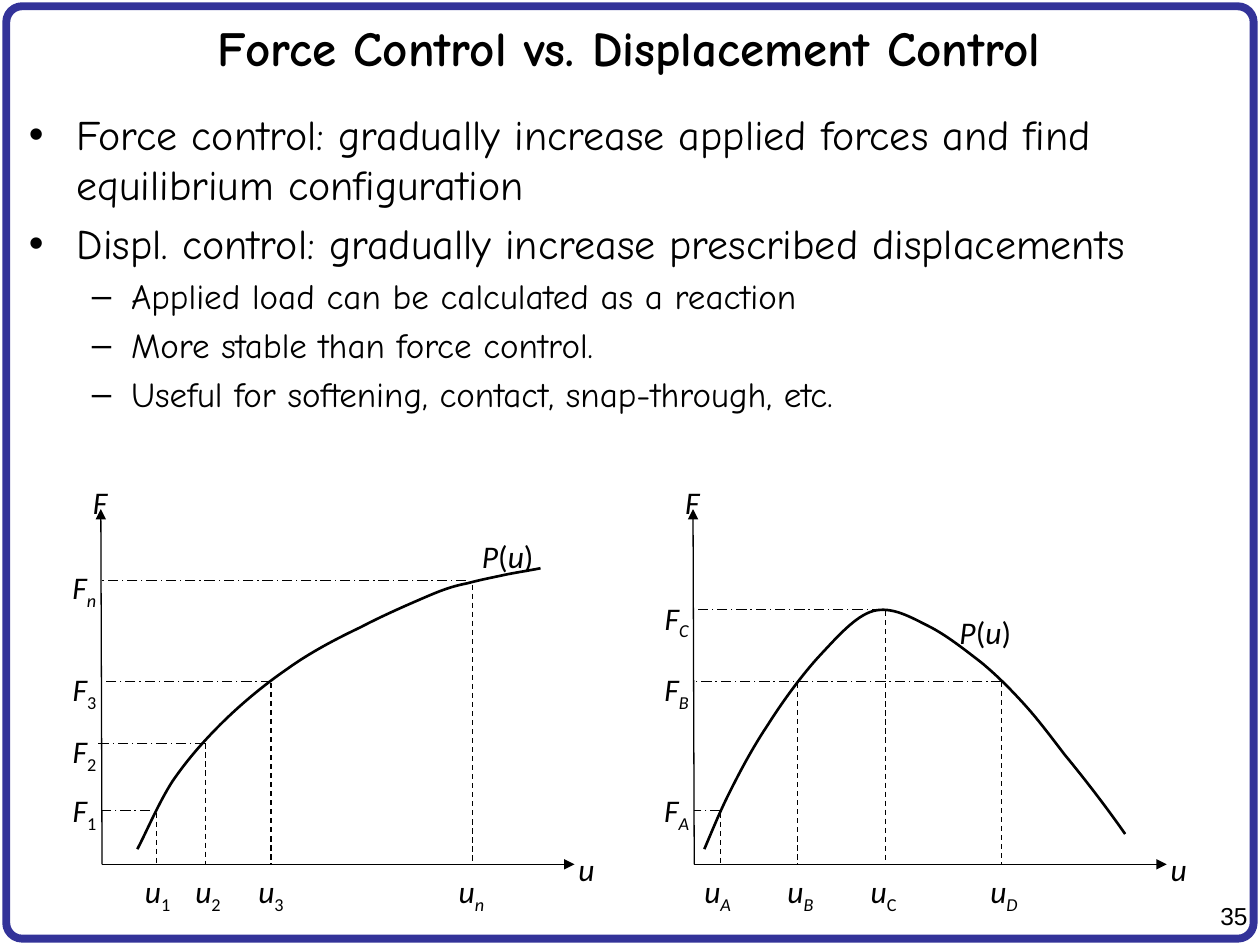
"""Build a slide that sets force control against displacement control."""
import pptx
import pptx.util
import pptx.dml.color
import pptx.enum.dml
import pptx.enum.shapes
import pptx.enum.text
import pptx.oxml

Inches = pptx.util.Inches
Pt = pptx.util.Pt
DASH = pptx.enum.dml.MSO_LINE
ALIGN = pptx.enum.text.PP_ALIGN
BLACK = pptx.dml.color.RGBColor(0x00, 0x00, 0x00)
BLUE = pptx.dml.color.RGBColor(0x33, 0x33, 0x99)
SPACE = 'xmlns:a="http://schemas.openxmlformats.org/drawingml/2006/main"'
BASE = 6.86
TALL = {"u": 0.33, "F": 0.39, "P(u)": 0.37}

deck = pptx.Presentation()
deck.slide_width, deck.slide_height = Inches(10), Inches(7.5)
slide = deck.slides.add_slide(deck.slide_layouts[1])


def add_line(shapes, start, end, dash=None, arrow=False):
    kind = pptx.enum.shapes.MSO_CONNECTOR.STRAIGHT
    line = shapes.add_connector(kind, *map(Inches, start + end))
    line.line.color.rgb = BLACK
    line.line.width = Pt(0.75)
    if dash:
        line.line.dash_style = dash
    if arrow:
        tip = pptx.oxml.parse_xml(f'<a:tailEnd {SPACE} type="triangle"/>')
        line.line._get_or_add_ln().append(tip)
    line._element.spPr.append(pptx.oxml.parse_xml(f"<a:effectLst {SPACE}/>"))


def add_label(shapes, left, top, width, name, sub="", slant=True, align=ALIGN.LEFT):
    box = shapes.add_textbox(*map(Inches, (left, top, width, TALL[name])))
    frame = box.text_frame
    frame.word_wrap = True
    frame.margin_left = frame.margin_right = 0
    frame.margin_top = frame.margin_bottom = 0
    para = frame.paragraphs[0]
    para.alignment = align
    para.line_spacing = 1.15
    para.space_after = Pt(10)
    para.font.name, para.font.size = "Calibri", Pt(18)
    para.font.color.rgb = BLACK
    for sign in name:
        run = para.add_run()
        run.text = sign
        run.font.italic = sign.isalpha()
    if sub:
        run = para.add_run()
        run.text = sub
        run.font.italic = slant
        run._r.get_or_add_rPr().set("baseline", "-25000")


title = slide.shapes.title
title.left, title.top = Inches(0.04), Inches(0.05)
title.width, title.height = Inches(9.9), Inches(0.65)
title.text_frame.text = "Force Control vs. Displacement Control"
head = title.text_frame.paragraphs[0]
head.alignment = ALIGN.CENTER
head.font.name, head.font.size, head.font.bold = "Comic Neue", Pt(28), True
head.font.color.rgb = BLACK

body = slide.placeholders[1]
body.left, body.top = Inches(0.13), Inches(0.81)
body.width, body.height = Inches(9.74), Inches(6.42)
points = [
    (0, "Force control: gradually increase applied forces and find equilibrium configuration"),
    (0, "Displ. control: gradually increase prescribed displacements"),
    (1, "Applied load can be calculated as a reaction"),
    (1, "More stable than force control."),
    (1, "Useful for softening, contact, snap-through, etc."),
]
body.text_frame.text = "\n".join(words for level, words in points)
for para, (level, words) in zip(body.text_frame.paragraphs, points):
    para.level = level
    para.font.name, para.font.size = "Comic Neue", Pt((24, 20)[level])
    para.font.color.rgb = BLACK
    props = para._p.get_or_add_pPr()
    props.set("marL", str(Inches((0.38, 0.81)[level])))
    props.set("indent", str(-Inches((0.38, 0.31)[level])))

frame = slide.shapes.add_shape(
    pptx.enum.shapes.MSO_SHAPE.ROUNDED_RECTANGLE,
    Inches(0.05), Inches(0.05), Inches(9.9), Inches(7.4))
frame.adjustments[0] = 0.017
frame.shadow.inherit = False
frame.fill.background()
frame.line.color.rgb = BLUE
frame.line.width = Pt(4.5)

page = slide.shapes.add_textbox(Inches(9.46), Inches(7.1), Inches(0.54), Inches(0.33))
page.text_frame.word_wrap = True
page.text_frame.text = "35"
para = page.text_frame.paragraphs[0]
para.alignment = ALIGN.RIGHT
para.font.name, para.font.size = "Arial", Pt(14)
para.font.color.rgb = BLACK

plots = [
    {
        "left": 0.81,
        "name": (3.66, 4.22),
        "drops": [(1.24, 6.45, 1.15, "1", False), (1.63, 5.9, 1.55, "2", False),
                  (2.15, 5.42, 2.05, "3", False), (3.75, 4.64, 3.64, "n", True)],
        "loads": [(1.19, 6.43, 0.81, 6.23, "1", False), (1.63, 5.9, 0.78, 5.76, "2", False),
                  (2.15, 5.41, 0.81, 5.27, "3", False), (3.7, 4.61, 0.81, 4.46, "n", True)],
        "curve": [(4.29, 4.51), (4.25, 4.52), (4.12, 4.54), (4.02, 4.56),
                  (3.93, 4.58), (3.82, 4.6), (3.71, 4.63), (3.61, 4.65),
                  (3.54, 4.67), (3.4, 4.73), (3.26, 4.79), (3.05, 4.88),
                  (2.86, 4.98), (2.67, 5.07), (2.46, 5.18), (2.28, 5.31),
                  (2.09, 5.44), (1.9, 5.6), (1.75, 5.75), (1.6, 5.9),
                  (1.48, 6.04), (1.37, 6.2), (1.26, 6.37), (1.15, 6.63), (1.09, 6.74)],
    },
    {
        "left": 5.51,
        "name": (7.45, 4.82),
        "drops": [(5.72, 6.45, 5.59, "A", True), (6.33, 5.42, 6.25, "B", True),
                  (7.03, 4.85, 6.91, "C", False), (7.95, 5.41, 7.86, "D", True)],
        "loads": [(5.72, 6.43, 5.51, 6.23, "A", True), (7.95, 5.41, 5.51, 5.27, "B", True),
                  (7, 4.84, 5.51, 4.7, "C", True)],
        "curve": [(5.59, 6.74), (5.65, 6.6), (5.71, 6.45), (5.79, 6.29),
                  (5.87, 6.13), (5.97, 5.94), (6.09, 5.76), (6.21, 5.57),
                  (6.37, 5.35), (6.51, 5.2), (6.65, 5.05), (6.79, 4.89),
                  (6.93, 4.85), (7.08, 4.81), (7.23, 4.9), (7.37, 4.97),
                  (7.51, 5.04), (7.66, 5.16), (7.79, 5.26), (7.91, 5.36),
                  (8.01, 5.46), (8.12, 5.58), (8.23, 5.7), (8.32, 5.82),
                  (8.45, 5.99), (8.59, 6.16), (8.77, 6.39), (8.93, 6.62)],
    },
]
for plot in plots:
    left = plot["left"]
    group = slide.shapes.add_group_shape().shapes
    add_line(group, (left, BASE), (left + 3.75, BASE), arrow=True)
    add_line(group, (left, BASE), (left - 0.01, 4.04), arrow=True)
    add_label(group, left + 3.78, 6.7, 0.31, "u")
    add_label(group, left - 0.2, 3.79, 0.37, "F", align=ALIGN.CENTER)
    add_label(group, *plot["name"], 0.74, "P(u)", align=ALIGN.CENTER)
    for x, y, spot, sub, slant in plot["drops"]:
        add_line(group, (x, y), (x, BASE), DASH.DASH)
        add_label(group, spot, 6.87, 0.3, "u", sub, slant)
    for x, y, end, top, sub, slant in plot["loads"]:
        add_line(group, (x, y), (end, y), DASH.LONG_DASH_DOT)
        add_label(group, left - 0.37, top, 0.46, "F", sub, slant, ALIGN.CENTER)

    knots = [tuple(map(Inches, knot)) for knot in plot["curve"]]
    pen = group.build_freeform(*knots[0])
    pen.add_line_segments(knots[1:], close=False)
    curve = pen.convert_to_shape()
    curve.shadow.inherit = False
    curve.fill.background()
    curve.line.color.rgb = BLACK
    curve.line.width = Pt(1.5)
    sides = curve._element.xpath(".//a:lnTo")
    for first in range(0, len(sides), 3):
        bend = pptx.oxml.parse_xml(f"<a:cubicBezTo {SPACE}/>")
        sides[first].addprevious(bend)
        for side in sides[first:first + 3]:
            bend.append(side[0])
            side.getparent().remove(side)

deck.save("out.pptx")
